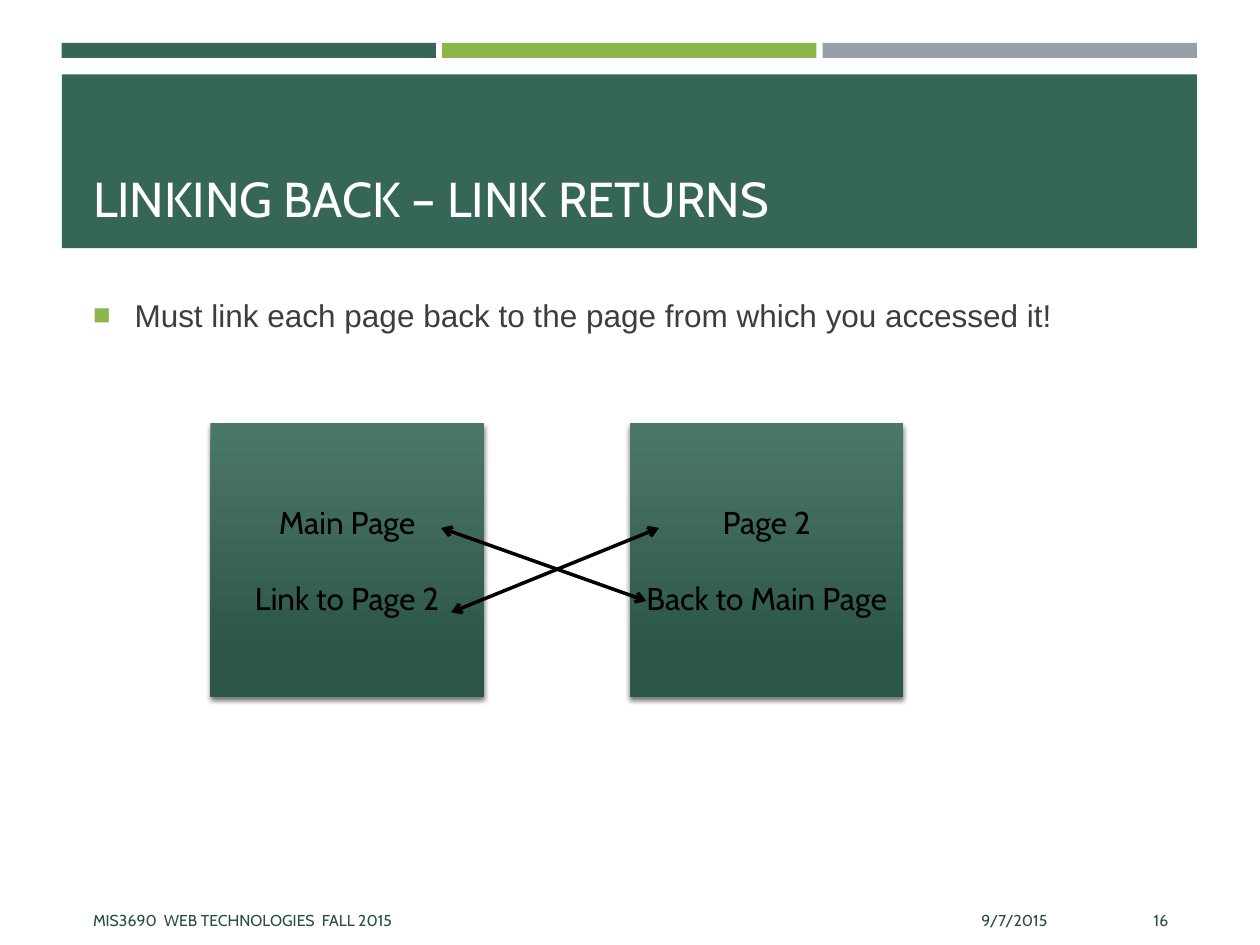
"""Build the slide on linking pages back to each other."""
from lxml import etree
from pptx import Presentation
from pptx.dml.color import RGBColor
from pptx.enum.shapes import MSO_CONNECTOR, MSO_SHAPE
from pptx.enum.text import MSO_ANCHOR, PP_ALIGN
from pptx.oxml import parse_xml
from pptx.oxml.ns import qn
from pptx.util import Inches, Pt

RECTANGLE = MSO_SHAPE.RECTANGLE
STRAIGHT = MSO_CONNECTOR.STRAIGHT
TOP, MIDDLE, BOTTOM = MSO_ANCHOR.TOP, MSO_ANCHOR.MIDDLE, MSO_ANCHOR.BOTTOM
LEFT, CENTER, RIGHT = PP_ALIGN.LEFT, PP_ALIGN.CENTER, PP_ALIGN.RIGHT
NAMESPACE = 'xmlns:a="http://schemas.openxmlformats.org/drawingml/2006/main"'
GREEN, LIME, GRAY = "366658", "8CB64A", "969FA7"


def color(value):
    return RGBColor.from_string(value)


def write(shape, lines, size, ink, align, anchor, font="Cabin", gap=0):
    frame = shape.text_frame
    frame.word_wrap = True
    frame.vertical_anchor = anchor
    frame.text = "\n".join(lines)
    for index, para in enumerate(frame.paragraphs):
        para.alignment = align
        para.font.name = font
        para.font.size = Pt(size)
        para.font.color.rgb = color(ink)
        if index:
            para.space_before = Pt(gap)
    return frame.paragraphs[0]


deck = Presentation()
deck.slide_width, deck.slide_height = Inches(10), Inches(7.5)
page = deck.slides.add_slide(deck.slide_layouts[6])
shapes = page.shapes

bands = [(0.49 + 3.02 * column, 0.34, 2.97, 0.12, fill)
         for column, fill in enumerate((GREEN, LIME, GRAY))]
bands.append((0.49, 0.59, 9.01, 1.38, GREEN))
for left, top, width, height, fill in bands:
    band = shapes.add_shape(RECTANGLE, Inches(left), Inches(top), Inches(width), Inches(height))
    band.shadow.inherit = False
    band.fill.solid()
    band.fill.fore_color.rgb = color(fill)
    band.line.fill.background()

title = shapes.add_textbox(Inches(0.64), Inches(0.67), Inches(8.74), Inches(1.18))
write(title, ["LINKING BACK – LINK RETURNS"], 28, "FFFFFF", LEFT, BOTTOM)

body = shapes.add_textbox(Inches(0.64), Inches(2.3), Inches(8.74), Inches(4.62))
bullet = write(body, ["Must link each page back to the page from which you accessed it!"],
               18, "3D3D3D", LEFT, TOP, font="Arial")
bullet.space_before, bullet.space_after = Pt(3.6), Pt(6)
properties = bullet._p.get_or_add_pPr()
properties.set("marL", str(Inches(0.33)))
properties.set("indent", str(Inches(-0.33)))
marker_color = etree.SubElement(properties, qn("a:buClr"))
etree.SubElement(marker_color, qn("a:srgbClr"), val=LIME)
etree.SubElement(properties, qn("a:buSzPct"), val="92000")
etree.SubElement(properties, qn("a:buFont"), typeface="Arial")
etree.SubElement(properties, qn("a:buChar"), char="■")

footers = [(0.64, 5.33, "MIS3690  WEB TECHNOLOGIES  FALL 2015", LEFT),
           (6.08, 2.33, "9/7/2015", RIGHT),
           (8.53, 0.84, "16", RIGHT)]
for left, width, text, align in footers:
    footer = shapes.add_textbox(Inches(left), Inches(7.1), Inches(width), Inches(0.4))
    write(footer, [text], 9, "284D42", align, MIDDLE)

web_pages = [(1.67, ["Main Page", "Link to Page 2"]),
             (5, ["Page 2", "Back to Main Page"])]
for left, lines in web_pages:
    box = shapes.add_shape(RECTANGLE, Inches(left), Inches(3.36), Inches(2.17), Inches(2.17))
    box.line.fill.background()
    box.fill.gradient()
    box.fill.gradient_angle = 270
    for stop, position, shade in zip(box.fill.gradient_stops, (0, 0.84), ("4B7769", "2D564A")):
        stop.position = position
        stop.color.rgb = color(shade)
    box.shadow.inherit = False
    box._element.spPr.find(qn("a:effectLst")).append(parse_xml(
        f'<a:outerShdw {NAMESPACE} blurRad="{Pt(3)}" dist="{Pt(2)}" dir="5400000" rotWithShape="0">'
        '<a:srgbClr val="000000"><a:alpha val="55000"/></a:srgbClr></a:outerShdw>'))
    write(box, lines, 18, "000000", CENTER, MIDDLE, gap=21.5)

for start_x, start_y, end_x, end_y in [(3.58, 4.86, 5.23, 4.19), (3.5, 4.19, 5.13, 4.77)]:
    arrow = shapes.add_connector(STRAIGHT, Inches(start_x), Inches(start_y),
                                 Inches(end_x), Inches(end_y))
    arrow.line.color.rgb = color("000000")
    arrow.line.width = Pt(2)
    outline = arrow.line._get_or_add_ln()
    for end in ("a:headEnd", "a:tailEnd"):
        etree.SubElement(outline, qn(end), type="arrow")
    etree.SubElement(arrow._element.spPr, qn("a:effectLst"))

deck.save("out.pptx")
